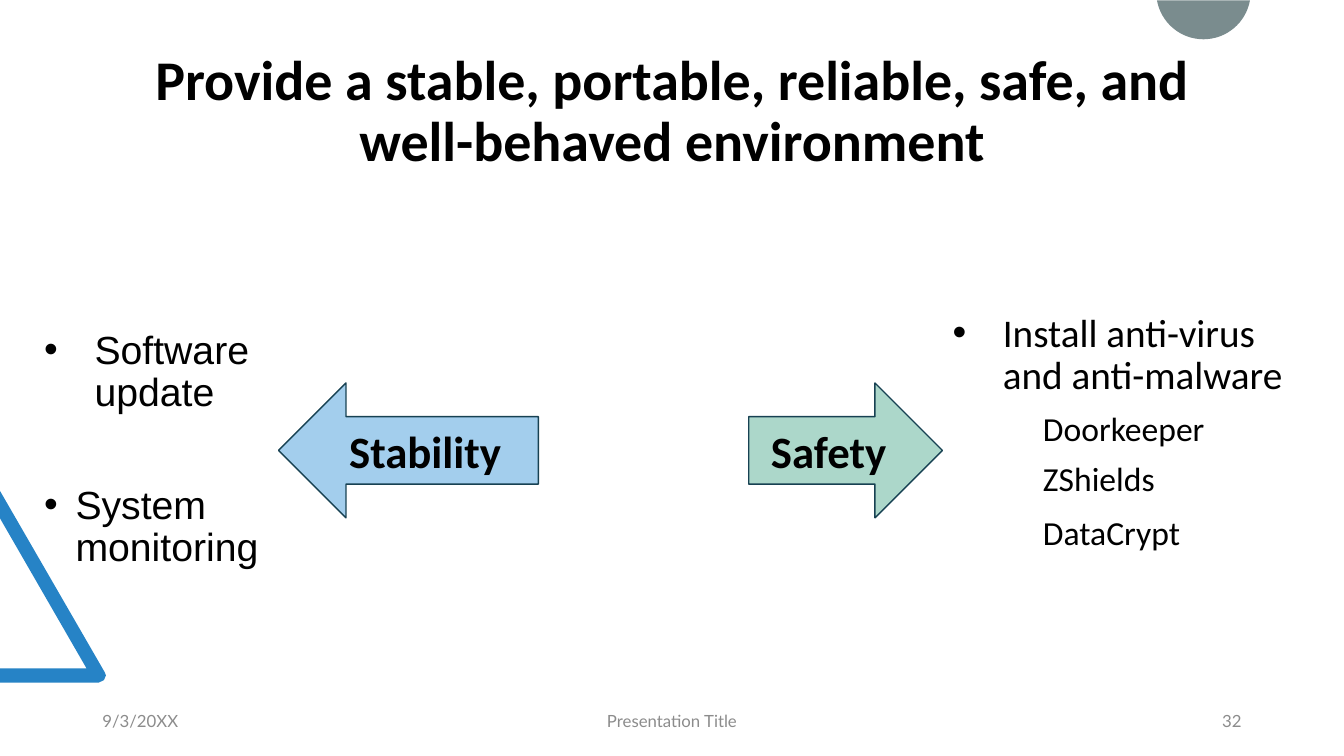
import math
import pptx
import pptx.util
import pptx.dml.color
import pptx.enum.shapes
import pptx.enum.text
import pptx.oxml.ns
from lxml import etree

Cm = pptx.util.Cm
Pt = pptx.util.Pt
ALIGN = pptx.enum.text.PP_ALIGN
ANCHOR = pptx.enum.text.MSO_ANCHOR
SHAPE = pptx.enum.shapes.MSO_SHAPE
COLORS = {
    "text": "000000",
    "footer": "8C8C8C",
    "triangle": "2683C6",
    "dome": "7A8C8E",
    "safety": "ACD7CA",
    "stability": "A3CEED",
    "outline": "174152",
}


def rgb(name):
    return pptx.dml.color.RGBColor.from_string(COLORS[name])


def add_run(paragraph, text, size, font, color="text", bold=False):
    run = paragraph.add_run()
    run.text = text
    run.font.size = Pt(size)
    run.font.name = font
    run.font.bold = bold
    run.font.color.rgb = rgb(color)


presentation = pptx.Presentation()
presentation.slide_width = Cm(33.87)
presentation.slide_height = Cm(19.05)
slide = presentation.slides.add_slide(presentation.slide_layouts[3])
title, stability_list, safety_list = slide.placeholders

triangle = [(0, 17.2), (0, 16.84), (2.18, 16.84), (0, 13.06), (0, 12.37),
            (2.64, 16.94), (2.67, 17.02), (2.62, 17.14), (2.49, 17.2)]
dome = [(30.33 + 1.19 * math.cos(math.radians(angle)),
         -0.2 + 1.19 * math.sin(math.radians(angle)))
        for angle in range(10, 171, 5)]
for color, outline in (("triangle", triangle), ("dome", dome)):
    corners = [(Cm(x), Cm(y)) for x, y in outline]
    builder = slide.shapes.build_freeform(*corners[0])
    builder.add_line_segments(corners[1:], close=True)
    decoration = builder.convert_to_shape()
    decoration.shadow.inherit = False
    decoration.fill.solid()
    decoration.fill.fore_color.rgb = rgb(color)
    decoration.line.fill.background()

title.left, title.top, title.width, title.height = Cm(2.33), Cm(1.01), Cm(29.21), Cm(3.68)
title.text_frame.auto_size = pptx.enum.text.MSO_AUTO_SIZE.NONE
title.text_frame.vertical_anchor = ANCHOR.MIDDLE
heading = title.text_frame.paragraphs[0]
heading.alignment = ALIGN.CENTER
heading.line_spacing = 0.9
add_run(heading, "Provide a stable, portable, reliable, safe, and well-behaved environment",
        40, "Calibri", bold=True)

arrows = [
    ("Safety", SHAPE.RIGHT_ARROW, 18.87, 4.88, "safety"),
    ("Stability", SHAPE.LEFT_ARROW, 7.02, 6.55, "stability"),
]
for label, kind, left, width, color in arrows:
    arrow = slide.shapes.add_shape(kind, Cm(left), Cm(9.65), Cm(width), Cm(3.4))
    arrow.shadow.inherit = False
    arrow.fill.solid()
    arrow.fill.fore_color.rgb = rgb(color)
    arrow.line.color.rgb = rgb("outline")
    arrow.line.width = Pt(1)
    arrow.text_frame.vertical_anchor = ANCHOR.MIDDLE
    caption = arrow.text_frame.paragraphs[0]
    caption.alignment = ALIGN.CENTER
    add_run(caption, label, 32, "Calibri", bold=True)

lists = [
    (stability_list, (0.86, 8.2, 6.15, 6.35), "Arial", [
        ("Software update", 28, 1.27, True, 0),
        ("System monitoring", 28, 0.79, True, 50),
    ]),
    (safety_list, (23.75, 7.77, 9.3, 7.16), "Calibri", [
        ("Install anti-virus and anti-malware", 28, 1.27, True, 0),
        ("Doorkeeper", 24, 2.28, False, 10),
        ("ZShields", 24, 2.28, False, 10),
        ("DataCrypt", 24, 2.28, False, 13),
    ]),
]
for body, box, font, items in lists:
    body.left, body.top, body.width, body.height = [Cm(length) for length in box]
    frame = body.text_frame
    frame.auto_size = pptx.enum.text.MSO_AUTO_SIZE.NONE
    frame.vertical_anchor = ANCHOR.TOP
    for number, (text, size, indent, bulleted, space) in enumerate(items):
        item = frame.add_paragraph() if number else frame.paragraphs[0]
        item.line_spacing = 0.9
        item.space_before = Pt(space)
        properties = item._p.get_or_add_pPr()
        properties.set("marL", str(Cm(indent)))
        properties.set("indent", str(-Cm(indent) if bulleted else 0))
        if bulleted:
            etree.SubElement(properties, pptx.oxml.ns.qn("a:buFont"), typeface="Arial")
            etree.SubElement(properties, pptx.oxml.ns.qn("a:buChar"), char="•")
        else:
            etree.SubElement(properties, pptx.oxml.ns.qn("a:buNone"))
        add_run(item, text, size, font)

footers = [
    ("9/3/20XX", 2.33, 7.62, ALIGN.LEFT),
    ("Presentation Title", 11.22, 11.43, ALIGN.CENTER),
    ("32", 23.92, 7.62, ALIGN.RIGHT),
]
for text, left, width, alignment in footers:
    footer = slide.shapes.add_textbox(Cm(left), Cm(17.66), Cm(width), Cm(1.01))
    footer.text_frame.word_wrap = True
    footer.text_frame.vertical_anchor = ANCHOR.MIDDLE
    footer_line = footer.text_frame.paragraphs[0]
    footer_line.alignment = alignment
    add_run(footer_line, text, 12, "Lato", "footer")

presentation.save("out.pptx")
